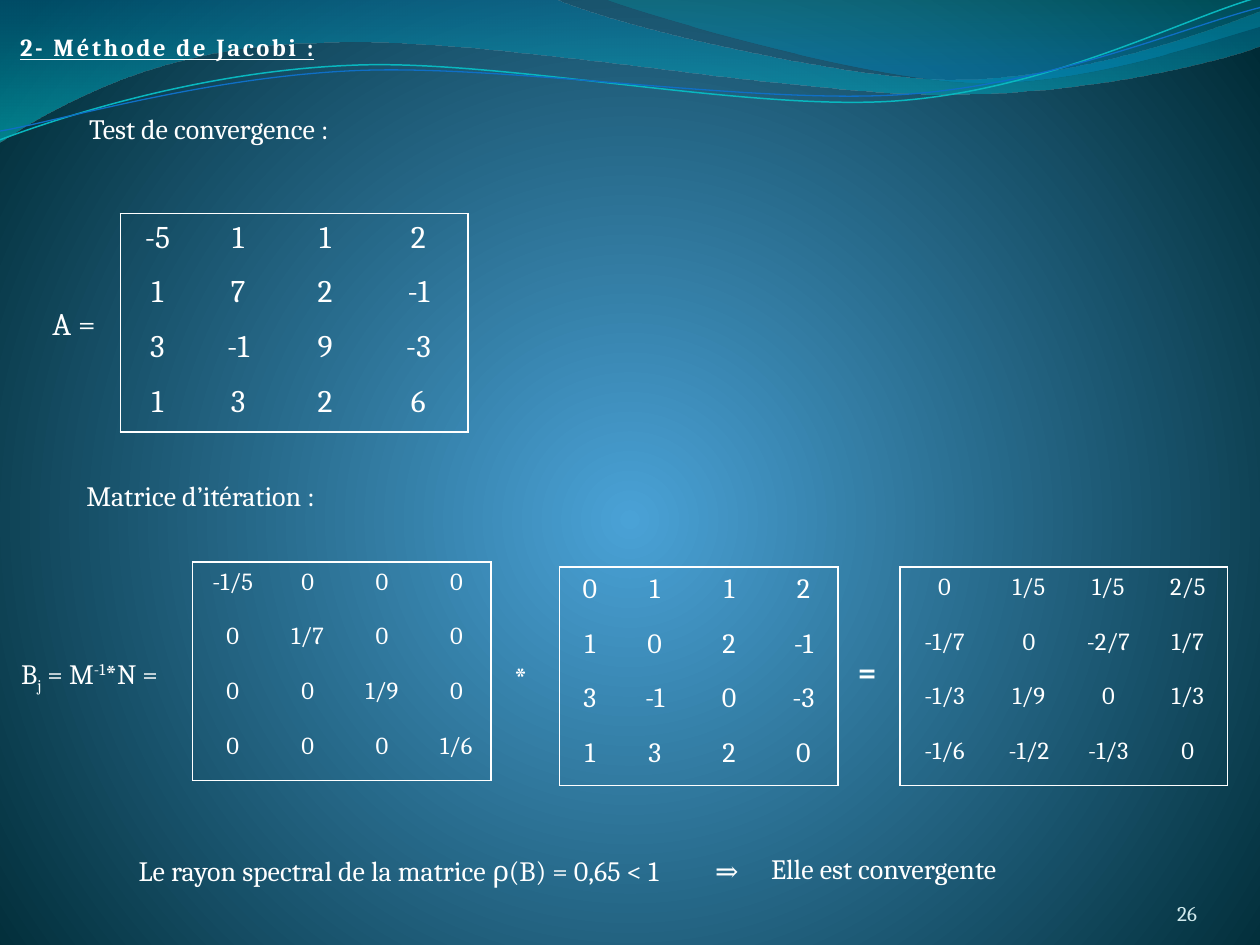
from lxml.etree import SubElement as Sub
from pptx import Presentation
from pptx.dml.color import RGBColor
from pptx.enum.text import MSO_ANCHOR as Anchor, MSO_AUTO_SIZE as Auto, PP_ALIGN as Align
from pptx.oxml.ns import qn
from pptx.util import Pt

FONT, WHITE = "Cambria", "FFFFFF"
ROW = 31.25
PLAIN = "{2D5ABB26-0587-4C30-8999-92F81FD0307C}"

# Each wave: start point, then line ends (x, y) or cubic curves (x1, y1, x2, y2, x, y)
BAND = [(0, 0), (316.8, -0.7), (342.7, 12.2, 478.1, 45.4, 545.8, 45.4),
        (614.2, 45.4, 689.8, 18.7, 720, 6.5), (720.7, 25.9),
        (707.8, 31.7, 626.4, 54.7, 537.1, 54), (447.8, 54, 275, 20.2, 185, 24.5),
        (92.9, 25.2, 33.1, 59.8, -0.7, 81.4), (0, 0)]
CREST = [(344.9, -0.7), (366.5, 7.9, 491, 44.6, 553.7, 46.8),
         (616.3, 49.7, 691.9, 23, 720, 15.1), (720, 0), (344.9, -0.7)]
TEAL = [(0, 79.9), (34.6, 67, 113.8, 41, 199.4, 37.4),
        (284.4, 33.1, 427, 64.1, 513.4, 57.6), (599.8, 51.1, 675.4, 10.8, 718.6, -1.4)]
BLUE = [(0, 74.9), (33.8, 69.1, 118.1, 43.9, 203.8, 40.3),
        (290.2, 36.7, 429.8, 59.8, 516.2, 54), (601.9, 48.2, 677.5, 15.1, 720, 4.3)]

# Each matrix: left, top, text size, column widths, rows
FULL = (68.7, 122, 18, (42.5, 49.7, 49.7, 57),
        ("-5 1 1 2", "1 7 2 -1", "3 -1 9 -3", "1 3 2 6"))
REST = (319.8, 324, 16, (34.5, 39.6, 45.4, 39.6),
        ("0 1 1 2", "1 0 2 -1", "3 -1 0 -3", "1 3 2 0"))
DIAG = (110, 321.1, 14, (46, 39.6, 45.4, 39.6),
        ("-1/5 0 0 0", "0 1/7 0 0", "0 0 1/9 0", "0 0 0 1/6"))
ITER = (514.2, 324, 14, (51.1, 45.4, 45.4, 45.4),
        ("0 1/5 1/5 2/5", "-1/7 0 -2/7 1/7", "-1/3 1/9 0 1/3", "-1/6 -1/2 -1/3 0"))


def tint(code):
    return RGBColor.from_string(code)


def blend(fill, root, stops, ang=None):
    """Gradient of (place, colour, opacity) stops; round when no angle is given."""
    fill.gradient()
    grad = root.find(".//" + qn("a:gradFill"))
    for part in list(grad):
        grad.remove(part)
    group = Sub(grad, qn("a:gsLst"))
    for place, code, alpha in stops:
        stop = Sub(group, qn("a:gs"), pos=str(place * 1000))
        shade = Sub(stop, qn("a:srgbClr"), val=code)
        if alpha < 100:
            Sub(shade, qn("a:alpha"), val=str(alpha * 1000))
    if ang is None:
        way = Sub(grad, qn("a:path"), path="circle")
        Sub(way, qn("a:fillToRect"), l="50000", t="55000", r="50000", b="45000")
    else:
        Sub(grad, qn("a:lin"), ang=str(ang * 60000), scaled="1")


def add_wave(slide, steps):
    """Freeform whose six-number steps become true cubic curves."""
    ends = [(Pt(step[-2]), Pt(step[-1])) for step in steps]
    pen = slide.shapes.build_freeform(*ends[0])
    pen.add_line_segments(ends[1:], close=steps[0] == steps[-1])
    shape = pen.convert_to_shape()
    shape.shadow.inherit = False
    lines = list(shape.element.iter(qn("a:lnTo")))
    for line, step in zip(lines, steps[1:]):
        if len(step) == 6:
            line.tag = qn("a:cubicBezTo")
            for part in list(line):
                line.remove(part)
            for x, y in zip(step[::2], step[1::2]):
                Sub(line, qn("a:pt"), x=str(Pt(x) - shape.left), y=str(Pt(y) - shape.top))
    return shape


def add_band(slide, steps, stops, ang):
    shape = add_wave(slide, steps)
    blend(shape.fill, shape.element, stops, ang)
    shape.line.fill.background()


def add_curve(slide, steps, code, width):
    shape = add_wave(slide, steps)
    shape.fill.background()
    shape.line.color.rgb = tint(code)
    shape.line.width = Pt(width)


def add_run(para, text, size, code=WHITE, bold=False, base=0):
    run = para.add_run()
    run.text = text
    font = run.font
    font.name, font.size, font.bold = FONT, Pt(size), bold
    font.color.rgb = tint(code)
    if base:
        run._r.get_or_add_rPr().set("baseline", str(base * 1000))
    return run


def add_label(slide, left, top, width, runs, size=16, bold=False, wrap=True):
    """Text box holding runs of (text, baseline)."""
    box = slide.shapes.add_textbox(Pt(left), Pt(top), Pt(width), Pt(size * 1.2 + 7.4))
    frame = box.text_frame
    frame.word_wrap = wrap
    frame.auto_size = Auto.SHAPE_TO_FIT_TEXT
    for text, base in runs:
        add_run(frame.paragraphs[0], text, size, bold=bold, base=base)


def set_title(slide, text):
    title = slide.shapes.title
    title.element.getparent().append(title.element)  # in front of the waves
    title.left, title.top, title.width, title.height = Pt(4.3), Pt(14.8), Pt(265), Pt(23.8)
    frame = title.text_frame
    frame.word_wrap = True
    frame.auto_size = Auto.SHAPE_TO_FIT_TEXT
    frame.vertical_anchor = Anchor.TOP
    para = frame.paragraphs[0]
    para.alignment = Align.LEFT
    run = add_run(para, text, 14, bold=True)
    run.font.underline = True
    props = run._r.get_or_add_rPr()
    props.set("spc", "150")
    props.set("kern", "0")


def add_number(slide, text):
    box = slide.shapes.add_textbox(Pt(624.2), Pt(500.4), Pt(59.8), Pt(28.8))
    frame = box.text_frame
    frame.word_wrap = True
    frame.vertical_anchor = Anchor.BOTTOM
    frame.margin_left = frame.margin_right = frame.margin_top = frame.margin_bottom = 0
    frame.paragraphs[0].alignment = Align.RIGHT
    add_run(frame.paragraphs[0], text, 12, "D1EAED")


def add_edge(cell, side):
    line = Sub(cell._tc.get_or_add_tcPr(), qn("a:ln" + side), w=str(Pt(0.96)))
    Sub(Sub(line, qn("a:solidFill")), qn("a:srgbClr"), val=WHITE)


def add_grid(slide, left, top, size, widths, rows):
    """Matrix as a table with an outer frame only."""
    count, span = len(rows), len(widths)
    frame = slide.shapes.add_table(count, span, Pt(left), Pt(top),
                                   Pt(sum(widths)), Pt(ROW * count))
    table = frame.table
    table.first_row = table.horz_banding = False
    table._tbl.tblPr.find(qn("a:tableStyleId")).text = PLAIN
    for col, width in zip(table.columns, widths):
        col.width = Pt(width)
    for i, row in enumerate(rows):
        table.rows[i].height = Pt(ROW)
        for j, text in enumerate(row.split()):
            cell = table.cell(i, j)
            para = cell.text_frame.paragraphs[0]
            para.alignment = Align.CENTER
            add_run(para, text, size)
            edges = {"L": j == 0, "R": j == span - 1, "T": i == 0, "B": i == count - 1}
            for side, outer in edges.items():
                if outer:
                    add_edge(cell, side)
            cell.fill.background()


def main():
    deck = Presentation()
    deck.slide_width, deck.slide_height = Pt(720), Pt(540)
    slide = deck.slides.add_slide(deck.slide_layouts[5])
    blend(slide.background.fill, slide.element,
          [(0, "4AA2D6", 100), (100, "002B36", 100)])
    add_band(slide, BAND, [(0, "0074A0", 45), (100, "00C4CD", 55)], 90)
    add_band(slide, CREST, [(20, "008ABF", 45), (100, "00A0A8", 30)], 270)
    add_curve(slide, TEAL, "09B7BF", 0.85)
    add_curve(slide, BLUE, "0F6FC6", 0.75)
    add_number(slide, "26")
    set_title(slide, "2- Méthode de Jacobi :")
    add_label(slide, 22.9, 170.3, 45.4, [("A =", 0)], size=18)
    add_grid(slide, *FULL)
    add_label(slide, 43.9, 60.5, 191.5, [("Test de convergence :", 0)])
    add_label(slide, 286.6, 372.2, 28.1, [("*", 0)], size=18, bold=True)
    add_grid(slide, *REST)
    add_label(slide, 42.3, 270, 165.6, [("Matrice d’itération :", 0)])
    add_label(slide, 5, 371.5, 105.8,
              [("B", 0), ("j", -25), (" = M", 0), ("-1", 30), ("*N =", 0)])
    add_grid(slide, *DIAG)
    add_label(slide, 483.1, 369, 27.4, [("=", 0)], size=18, bold=True)
    add_grid(slide, *ITER)
    add_label(slide, 72.2, 484.1, 344.9,
              [("Le rayon spectral de la matrice ρ(B) = 0,65 < 1", 0)])
    add_label(slide, 433.6, 483.1, 161.3, [("Elle est convergente", 0)])
    add_label(slide, 401.6, 484, 30.2, [("⇒", 0)], wrap=False)
    deck.save("out.pptx")


if __name__ == "__main__":
    main()
